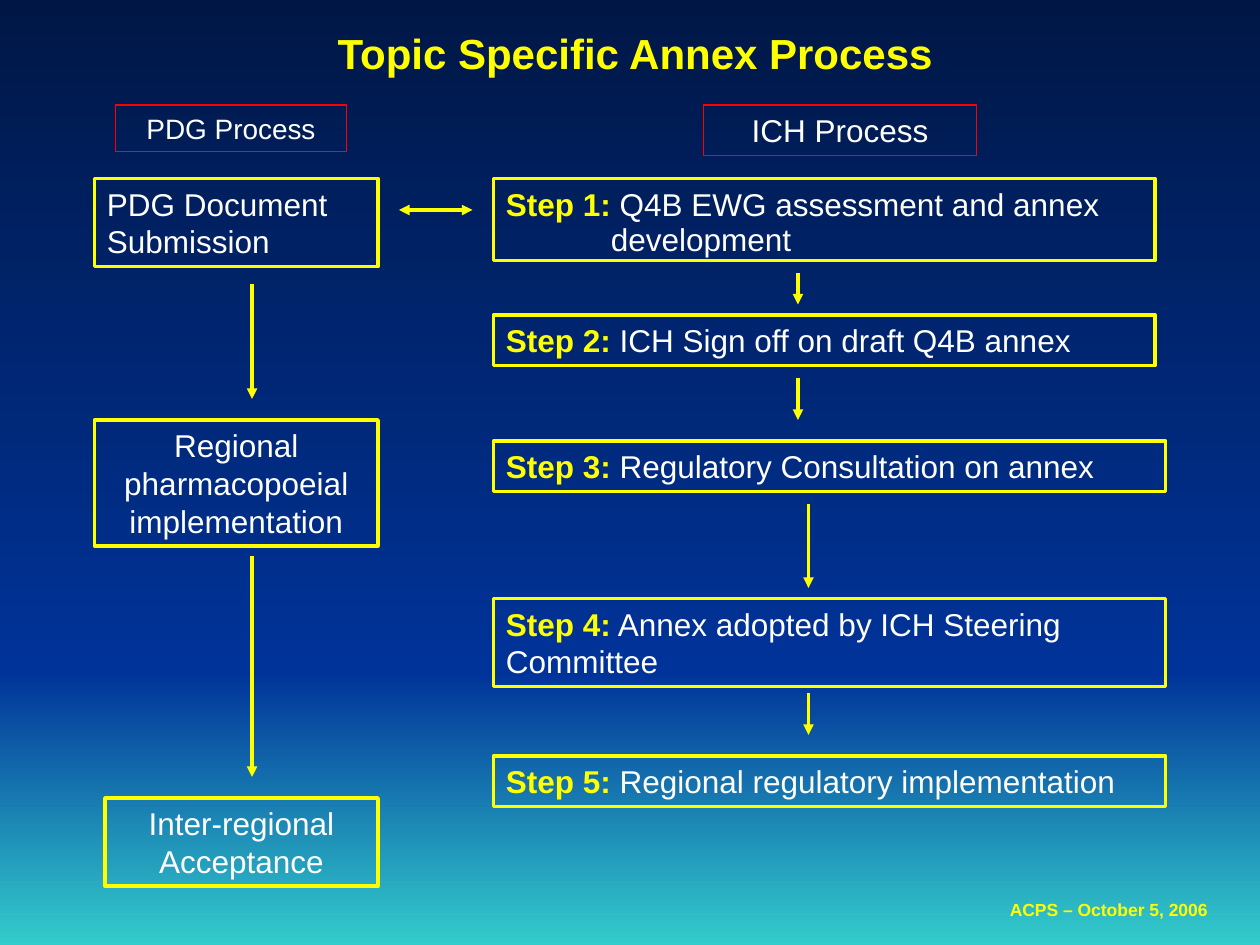
from dataclasses import dataclass

import pptx
import pptx.dml.color
import pptx.enum.shapes
import pptx.enum.text
import pptx.util
from lxml import etree
from pptx.oxml.ns import qn

Pt = pptx.util.Pt
RGB = pptx.dml.color.RGBColor.from_string
MSO_SHAPE = pptx.enum.shapes.MSO_SHAPE
LEFT = pptx.enum.text.PP_ALIGN.LEFT
CENTER = pptx.enum.text.PP_ALIGN.CENTER


@dataclass(frozen=True)
class Theme:
    font: str = "Arial"
    night: str = "001746"
    blue: str = "003399"
    teal: str = "33CCCC"
    yellow: str = "FFFF00"
    white: str = "FFFFFF"
    red: str = "FF0000"
    title: float = 24
    body: float = 18
    small: float = 16
    footer: float = 10
    thick: float = 2
    thin: float = 0.75


T = Theme()


@dataclass(frozen=True)
class Box:
    left: float
    top: float
    width: float
    height: float
    text: str
    label: str = ""
    continuation: str = ""
    align: int = LEFT
    size: float = T.body
    line: str = T.yellow
    weight: float = T.thick


@dataclass(frozen=True)
class Arrow:
    x1: float
    y1: float
    x2: float
    y2: float
    both: bool = False


STEP_X, PDG_X = 282, 54
ONE_LINE, TWO_LINES, THREE_LINES = 29, 50.4, 72

BOXES = [
    # ICH steps
    Box(STEP_X, 102, 378, 47, " Q4B EWG assessment and annex", "Step 1:", "development"),
    Box(STEP_X, 180, 378, ONE_LINE, " ICH Sign off on draft Q4B annex", "Step 2:"),
    Box(STEP_X, 252, 384, ONE_LINE, " Regulatory Consultation on annex", "Step 3:"),
    Box(STEP_X, 342, 384, TWO_LINES, " Annex adopted by ICH Steering Committee", "Step 4:"),
    Box(STEP_X, 432, 384, ONE_LINE, " Regional regulatory implementation", "Step 5:"),
    # PDG stages
    Box(PDG_X, 102, 162, TWO_LINES, "PDG Document Submission"),
    Box(PDG_X, 240, 162, THREE_LINES, "Regional pharmacopoeial implementation", align=CENTER),
    Box(60, 456, 156, TWO_LINES, "Inter-regional Acceptance", align=CENTER),
    # Column headings
    Box(402, 60, 156, ONE_LINE, "ICH Process", align=CENTER, line=T.red, weight=T.thin),
    Box(66, 60, 132, 26.6, "PDG Process", align=CENTER, size=T.small, line=T.red, weight=T.thin),
]

ARROWS = [
    Arrow(228, 120, 270, 120, both=True),
    Arrow(144, 162, 144, 228),
    Arrow(144, 318, 144, 444),
    Arrow(456, 156, 456, 174),
    Arrow(456, 216, 456, 240),
    Arrow(462, 288, 462, 336),
    Arrow(462, 396, 462, 420),
]


def fill_gradient(fill, start: str, end: str) -> None:
    fill.gradient()
    fill.gradient_angle = 270
    for stop, color, position in zip(fill.gradient_stops, (start, end), (0, 1)):
        stop.color.rgb = RGB(color)
        stop.position = position


def add_run(p, text: str, size: float, color: str, bold: bool = False) -> None:
    r = p.add_run()
    r.text = text
    for name, value in {"name": T.font, "size": Pt(size), "bold": bold}.items():
        setattr(r.font, name, value)
    r.font.color.rgb = RGB(color)


def format_frame(tf) -> None:
    settings = {
        "word_wrap": True,
        "auto_size": pptx.enum.text.MSO_AUTO_SIZE.NONE,
        "vertical_anchor": pptx.enum.text.MSO_ANCHOR.TOP,
        "margin_left": Pt(7.2), "margin_right": Pt(7.2),
        "margin_top": Pt(3.6), "margin_bottom": Pt(3.6),
    }
    for name, value in settings.items():
        setattr(tf, name, value)


def add_panel(slide, top: float, height: float, start: str, end: str) -> None:
    sp = slide.shapes.add_shape(MSO_SHAPE.RECTANGLE, 0, Pt(top), Pt(720), Pt(height))
    sp.shadow.inherit = False
    sp.line.fill.background()
    fill_gradient(sp.fill, start, end)


def add_box(slide, box: Box) -> None:
    sp = slide.shapes.add_shape(MSO_SHAPE.RECTANGLE, Pt(box.left), Pt(box.top),
                                Pt(box.width), Pt(box.height))
    sp.shadow.inherit = False
    sp.fill.background()
    sp.line.color.rgb = RGB(box.line)
    sp.line.width = Pt(box.weight)
    tf = sp.text_frame
    format_frame(tf)
    p = tf.paragraphs[0]
    p.alignment = box.align
    if box.label:
        add_run(p, box.label, box.size, T.yellow, bold=True)
    add_run(p, box.text, box.size, T.white)
    if box.continuation:
        p = tf.add_paragraph()
        p._p.get_or_add_pPr().set("marL", str(Pt(60)))
        for name, value in {"alignment": box.align, "line_spacing": 0.3,
                            "space_before": Pt(11.2)}.items():
            setattr(p, name, value)
        add_run(p, box.continuation, box.size, T.white)


def add_arrow(slide, arrow: Arrow) -> None:
    line = slide.shapes.add_connector(
        pptx.enum.shapes.MSO_CONNECTOR.STRAIGHT,
        Pt(arrow.x1), Pt(arrow.y1), Pt(arrow.x2), Pt(arrow.y2))
    line.line.color.rgb = RGB(T.yellow)
    line.line.width = Pt(T.thick)
    ln = line.line._get_or_add_ln()
    for tag in ("a:headEnd", "a:tailEnd") if arrow.both else ("a:tailEnd",):
        etree.SubElement(ln, qn(tag), type="triangle")
    etree.SubElement(line._element.spPr, qn("a:effectLst"))


def main() -> None:
    prs = pptx.Presentation()
    prs.slide_width, prs.slide_height = Pt(720), Pt(540)
    slide = prs.slides.add_slide(prs.slide_layouts[5])

    # Background
    fill_gradient(slide.background.fill, T.night, T.blue)
    add_panel(slide, 384, 156, T.blue, T.teal)
    add_panel(slide, 0, 384, T.night, T.blue)

    # Title, raised above the background panels
    title = slide.shapes.title
    slide.shapes._spTree.append(title._element)
    title.left, title.top, title.width, title.height = Pt(66), Pt(12), Pt(594), Pt(36)
    format_frame(title.text_frame)
    p = title.text_frame.paragraphs[0]
    p.alignment = CENTER
    add_run(p, "Topic Specific Annex Process", T.title, T.yellow, bold=True)

    # Process diagram
    for box in BOXES:
        add_box(slide, box)
    for arrow in ARROWS:
        add_arrow(slide, arrow)

    # Footer
    footer = slide.shapes.add_textbox(Pt(570), Pt(510), Pt(150), Pt(19.4))
    format_frame(footer.text_frame)
    add_run(footer.text_frame.paragraphs[0], "ACPS – October 5, 2006",
            T.footer, T.yellow, bold=True)

    prs.save("out.pptx")


if __name__ == "__main__":
    main()
